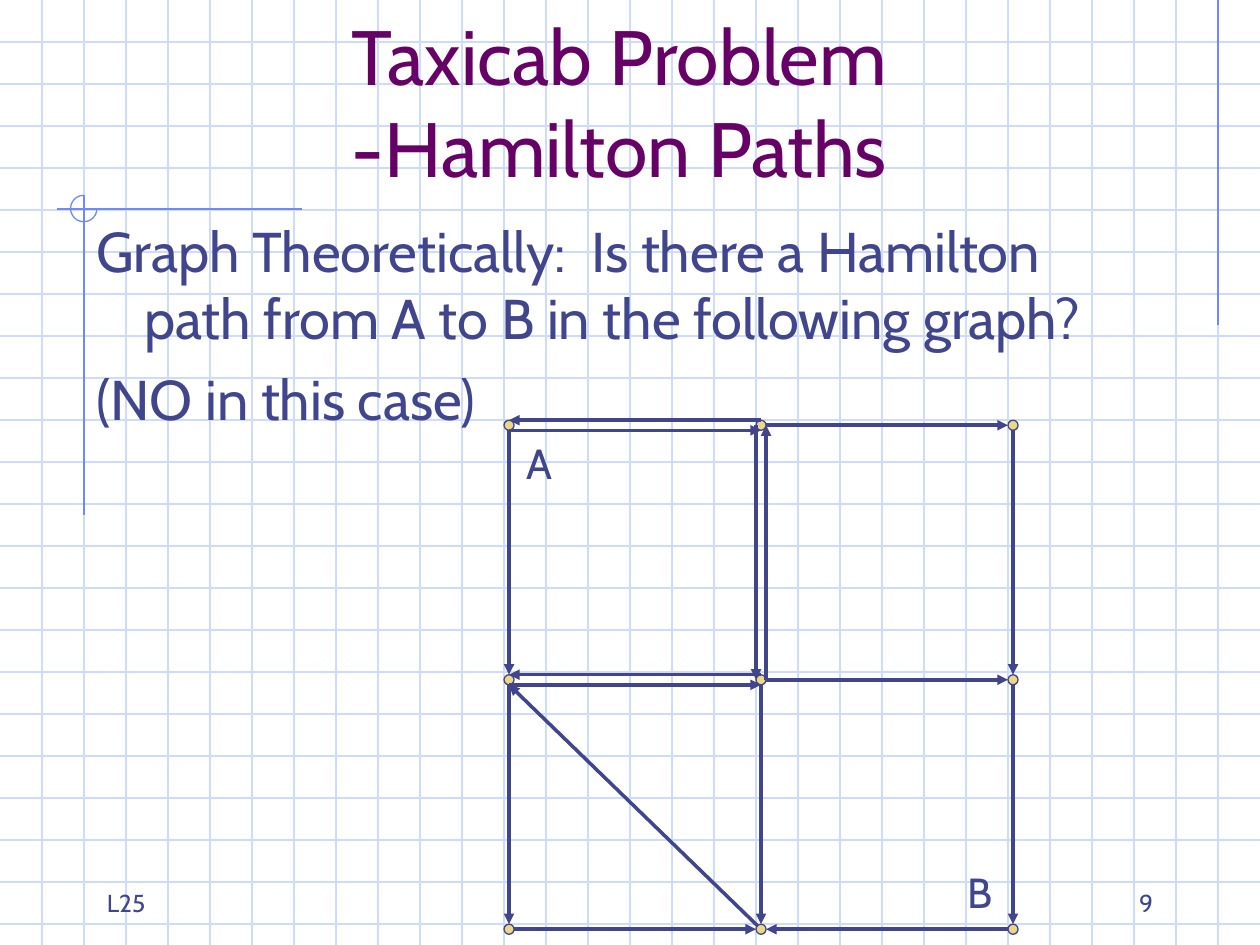
from lxml.etree import SubElement
from pptx import Presentation
from pptx.dml.color import RGBColor
from pptx.enum.shapes import MSO_CONNECTOR, MSO_SHAPE
from pptx.enum.text import MSO_ANCHOR, PP_ALIGN
from pptx.oxml.ns import qn
from pptx.util import Inches, Pt

COLORS = {
    "grid": "CFDBFD",
    "accent": "6F89F7",
    "title": "660066",
    "ink": "40458C",
    "node": "ECD882",
}

prs = Presentation()
prs.slide_width, prs.slide_height = Inches(10), Inches(7.5)
slide = prs.slides.add_slide(prs.slide_layouts[6])


def add_line(start, end, color, width=0.75, arrow=False):
    line = slide.shapes.add_connector(
        MSO_CONNECTOR.STRAIGHT, *[Inches(v) for v in (*start, *end)])
    line.line.color.rgb = RGBColor.from_string(COLORS[color])
    line.line.width = Pt(width)
    if arrow:
        SubElement(line.line._get_or_add_ln(), qn("a:tailEnd"), type="triangle")
    SubElement(line._element.spPr, qn("a:effectLst"))


def add_text(left, top, width, height, text, size, color="ink",
             align=PP_ALIGN.LEFT, anchor=MSO_ANCHOR.TOP, wrap=True):
    box = slide.shapes.add_textbox(*[Inches(v) for v in (left, top, width, height)])
    frame = box.text_frame
    frame.text = text
    frame.word_wrap = wrap
    frame.vertical_anchor = anchor
    for paragraph in frame.paragraphs:
        paragraph.alignment = align
        paragraph.font.size = Pt(size)
        paragraph.font.name = "Cabin"
        paragraph.font.color.rgb = RGBColor.from_string(COLORS[color])
    return frame


# Graph paper: three squares to the inch
square = 1 / 3
for row in range(1, 23):
    add_line((0, row * square), (10, row * square), "grid")
for column in range(1, 30):
    add_line((column * square, 0), (column * square, 7.5), "grid")

# Accent lines and the open circle at their crossing
add_line((29 * square, 0), (29 * square, 2.58), "accent")
add_line((2.4, 1.66), (0.45, 1.66), "accent")
add_line((2 * square, 1.55), (2 * square, 4.09), "accent")
crossing = slide.shapes.add_shape(
    MSO_SHAPE.ARC, Inches(0.56), Inches(1.55), Inches(0.21), Inches(0.21))
crossing.adjustments[0] = 0
crossing.adjustments[1] = 162  # 270 degrees
crossing.shadow.inherit = False
crossing.fill.background()
crossing.line.color.rgb = RGBColor.from_string(COLORS["accent"])
crossing.line.width = Pt(0.75)

add_text(2 * square, square, 8.5, 1.25, "Taxicab Problem\v-Hamilton Paths", 44,
         "title", PP_ALIGN.CENTER, MSO_ANCHOR.BOTTOM)
question = add_text(
    2 * square, 5 * square, 8.5, 4.5,
    "Graph Theoretically:  Is there a Hamilton path from A to B "
    "in the following graph?\n(NO in this case)", 32)
for paragraph in question.paragraphs:
    properties = paragraph._p.get_or_add_pPr()
    properties.set("marL", str(Inches(0.38)))
    properties.set("indent", str(-Inches(0.38)))
question.paragraphs[1].space_before = Pt(8)

# Street corners, as centres of a three by three grid
column_x = [4.04, 6.04, 8.04]
row_y = [3.375, 5.395, 7.375]
radius = 0.04
for y in row_y:
    for x in column_x:
        corner = slide.shapes.add_shape(
            MSO_SHAPE.OVAL, Inches(x - radius), Inches(y - radius),
            Inches(2 * radius), Inches(2 * radius))
        corner.shadow.inherit = False
        corner.fill.solid()
        corner.fill.fore_color.rgb = RGBColor.from_string(COLORS["node"])
        corner.line.color.rgb = RGBColor.from_string(COLORS["ink"])
        corner.line.width = Pt(0.75)

# One-way streets: (column, row, side) of the start and of the end
sides = {"top": (0, -1), "bottom": (0, 1), "left": (-1, 0), "right": (1, 0),
         "top left": (-0.75, -0.75)}
streets = [
    ((1, 0, "top"), (0, 0, "top")),
    ((0, 0, "bottom"), (1, 0, "bottom")),
    ((1, 0, "right"), (2, 0, "left")),
    ((0, 0, "bottom"), (0, 1, "top")),
    ((1, 0, "left"), (1, 1, "left")),
    ((1, 1, "right"), (1, 0, "right")),
    ((2, 0, "bottom"), (2, 1, "top")),
    ((1, 1, "top"), (0, 1, "top")),
    ((0, 1, "bottom"), (1, 1, "bottom")),
    ((1, 1, "right"), (2, 1, "left")),
    ((0, 1, "bottom"), (0, 2, "top")),
    ((1, 1, "bottom"), (1, 2, "top")),
    ((2, 1, "bottom"), (2, 2, "top")),
    ((1, 2, "top left"), (0, 1, "bottom")),
    ((0, 2, "right"), (1, 2, "left")),
    ((2, 2, "left"), (1, 2, "right")),
]
for street in streets:
    start, end = [
        (column_x[column] + radius * sides[side][0],
         row_y[row] + radius * sides[side][1])
        for column, row, side in street]
    add_line(start, end, "ink", 2, arrow=True)

add_text(4.08, 3.42, 0.41, 0.5, "A", 24, wrap=False)
add_text(7.58, 6.83, 0.41, 0.5, "B", 24, wrap=False)

# Footer
add_text(7.17, 6.83, 2.08, 0.5, "9", 14, align=PP_ALIGN.RIGHT, anchor=MSO_ANCHOR.BOTTOM)
add_text(0.75, 6.83, 2.08, 0.5, "L25", 14, anchor=MSO_ANCHOR.BOTTOM)

prs.save("out.pptx")
